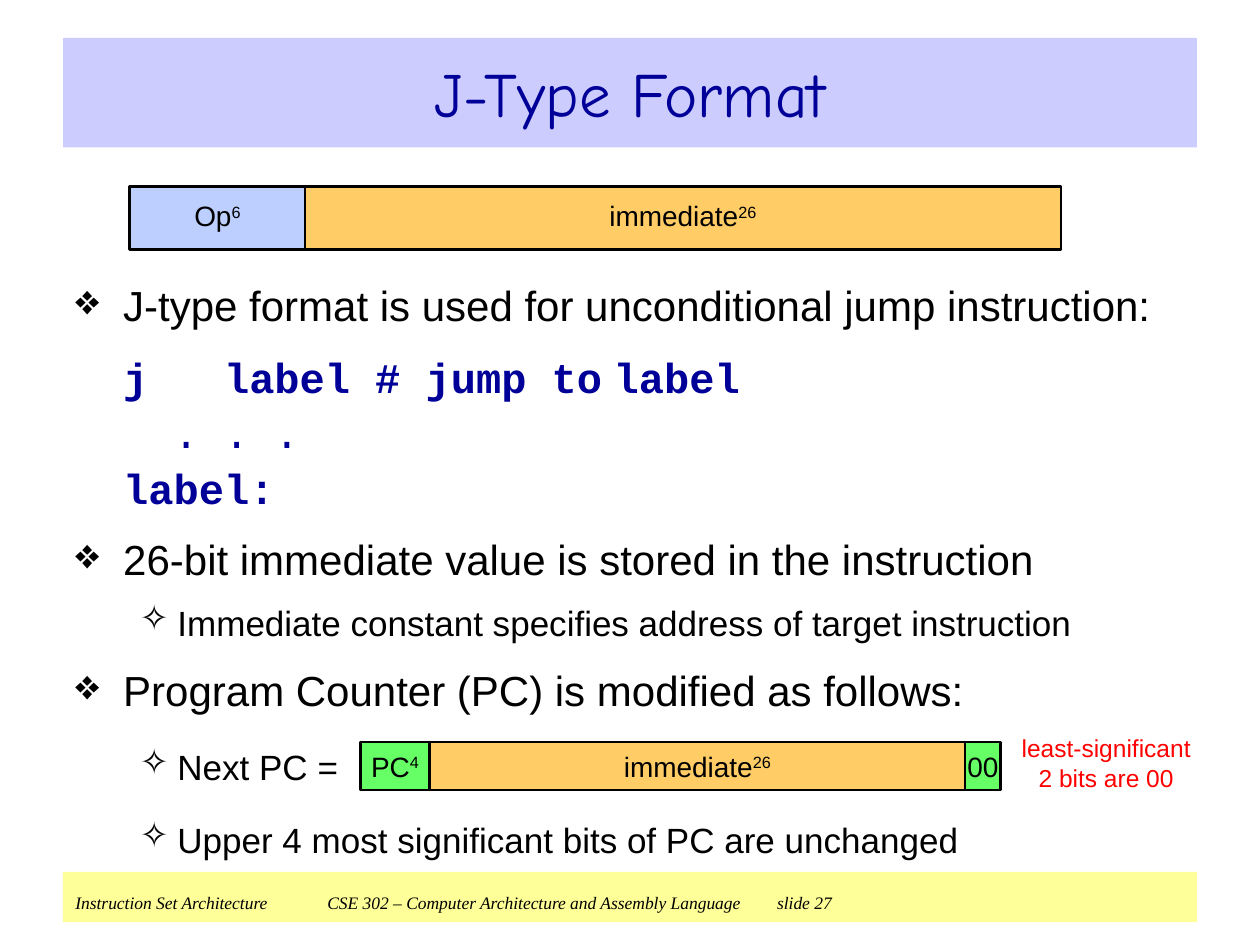
from lxml import etree
from pptx import Presentation
from pptx.dml.color import RGBColor
from pptx.enum.shapes import MSO_SHAPE
from pptx.enum.text import MSO_ANCHOR, PP_ALIGN
from pptx.oxml.ns import qn
from pptx.util import Inches, Pt

RECTANGLE = MSO_SHAPE.RECTANGLE
TOP, MIDDLE = MSO_ANCHOR.TOP, MSO_ANCHOR.MIDDLE
LEFT, CENTER = PP_ALIGN.LEFT, PP_ALIGN.CENTER

BLACK, NAVY, RED = "000000", "000099", "FF0000"
LAVENDER, YELLOW = "CCCCFF", "FFFF99"
BLUE, ORANGE, GREEN = "BCCFFE", "FFCC66", "66FF66"
CODE = {"font": "Courier New", "color": NAVY, "bold": True}
FOOTER = {"font": "Times New Roman", "size": 10, "italic": True}
TITLE_ONLY = 5


def rgb(color):
    """Turn a hex string into a colour."""
    return RGBColor.from_string(color)


def add_text(paragraph, text, size=24, font="Arial", color=BLACK, bold=False,
             italic=False, superscript=False):
    """Append one formatted run to a paragraph."""
    run = paragraph.add_run()
    run.text = text
    run.font.size = Pt(size)
    run.font.name = font
    run.font.color.rgb = rgb(color)
    run.font.bold = bold
    run.font.italic = italic
    if superscript:
        run.font._element.set("baseline", "30000")


def format_paragraph(paragraph, before=0, align=LEFT, margin=0, hanging=0,
                     bullet=None, tabs=()):
    """Set the spacing, indents, bullet and left tab stops of a paragraph."""
    paragraph.alignment = align
    paragraph.space_before = Pt(before)
    properties = paragraph._p.get_or_add_pPr()
    properties.set("marL", str(Inches(margin)))
    properties.set("indent", str(-Inches(hanging)))
    if bullet:
        bullet_color = etree.SubElement(properties, qn("a:buClr"))
        etree.SubElement(bullet_color, qn("a:srgbClr"), val=BLACK)
        etree.SubElement(properties, qn("a:buChar"), char=bullet)
    else:
        etree.SubElement(properties, qn("a:buNone"))
    if tabs:
        stops = etree.SubElement(properties, qn("a:tabLst"))
        for stop in tabs:
            etree.SubElement(stops, qn("a:tab"), pos=str(Inches(stop)), algn="l")


def add_box(slide, left, top, width, height, fill, line=None):
    """Add a filled rectangle, with an outline if a line colour is given."""
    box = slide.shapes.add_shape(RECTANGLE, Inches(left), Inches(top),
                                 Inches(width), Inches(height))
    box.shadow.inherit = False
    box.fill.solid()
    box.fill.fore_color.rgb = rgb(fill)
    if line:
        box.line.color.rgb = rgb(line)
        box.line.width = Pt(1.5)
    else:
        box.line.fill.background()
    return box


def add_text_area(slide, left, top, width, height):
    """Add a wrapping text box and return its text frame."""
    frame = slide.shapes.add_textbox(Inches(left), Inches(top),
                                     Inches(width), Inches(height)).text_frame
    frame.word_wrap = True
    return frame


def add_footer(slide):
    """Add the yellow footer bar."""
    frame = add_box(slide, 0.5, 6.92, 9, 0.4, YELLOW).text_frame
    frame.vertical_anchor = TOP
    paragraph = frame.paragraphs[0]
    format_paragraph(paragraph, before=6.2, tabs=(2, 6))
    add_text(paragraph, "Instruction Set Architecture\tCSE 302 – Computer "
             "Architecture and Assembly Language \t", **FOOTER)
    add_text(paragraph, " ", size=18)
    add_text(paragraph, "slide 27", **FOOTER)


def add_title(slide, text):
    """Fill and place the title placeholder."""
    title = slide.shapes.title
    title.left, title.top = Inches(0.5), Inches(0.3)
    title.width, title.height = Inches(9), Inches(0.87)
    title.fill.solid()
    title.fill.fore_color.rgb = rgb(LAVENDER)
    title.text_frame.vertical_anchor = MIDDLE
    paragraph = title.text_frame.paragraphs[0]
    paragraph.alignment = CENTER
    add_text(paragraph, text, size=36, font="Comic Neue", color=NAVY)


def add_bit_fields(slide, left, top, height, fields, line_spacing=1.0):
    """Add a row of adjoining fields, each with its name and bit count."""
    for name, bits, width, fill in fields:
        frame = add_box(slide, left, top, width, height, fill, BLACK).text_frame
        frame.margin_left = frame.margin_right = 0
        frame.margin_top = frame.margin_bottom = 0
        frame.vertical_anchor = MIDDLE
        paragraph = frame.paragraphs[0]
        paragraph.line_spacing = line_spacing
        format_paragraph(paragraph, align=CENTER)
        add_text(paragraph, name, size=16)
        if bits:
            add_text(paragraph, bits, size=16, superscript=True)
        left += width


def add_body(slide):
    """Add the bulleted points and the code sample."""
    point = {"before": 12, "margin": 0.38, "hanging": 0.38, "bullet": "❖"}
    detail = {"margin": 0.81, "hanging": 0.3, "bullet": "✧"}
    code = {"margin": 0.38, "hanging": 0.38, "tabs": (0, 2.75)}
    lines = [
        (point, [("J-type format is used for unconditional jump instruction:", {})]),
        ({**code, "before": 12}, [("\tj   label\t# jump to", CODE),
                                  (" ", {"color": NAVY, "bold": True}),
                                  ("label", CODE)]),
        ({**code, "before": 3}, [("\t  . . .", {**CODE, "bold": False})]),
        ({**code, "before": 3}, [("\tlabel:", CODE)]),
        (point, [("26-bit immediate value is stored in the instruction", {})]),
        ({**detail, "before": 10},
         [("Immediate constant specifies address of target instruction", {"size": 20})]),
        (point, [("Program Counter (PC) is modified as follows:", {})]),
        ({**detail, "before": 17.5}, [("Next PC =", {"size": 20})]),
        ({**detail, "before": 17.5},
         [("Upper 4 most significant bits of PC are unchanged", {"size": 20})]),
    ]
    frame = add_text_area(slide, 0.5, 2.17, 9, 4.72)
    for index, (layout, runs) in enumerate(lines):
        paragraph = frame.add_paragraph() if index else frame.paragraphs[0]
        format_paragraph(paragraph, **layout)
        for text, style in runs:
            add_text(paragraph, text, **style)


def add_bits_note(slide):
    """Add the red remark beside the next-PC row."""
    paragraph = add_text_area(slide, 7.96, 5.77, 1.64, 0.57).paragraphs[0]
    format_paragraph(paragraph, before=8.8, align=CENTER)
    add_text(paragraph, "least-significant 2 bits are 00", size=14, color=RED)


def main():
    """Build the slide and save it."""
    presentation = Presentation()
    presentation.slide_width, presentation.slide_height = Inches(10), Inches(7.5)
    slide = presentation.slides.add_slide(presentation.slide_layouts[TITLE_ONLY])
    add_footer(slide)
    add_title(slide, "J-Type Format")
    add_body(slide)
    add_bit_fields(slide, 1.03, 1.48, 0.5, [
        ("Op", "6", 1.39, BLUE),
        ("immediate", "26", 6, ORANGE),
    ], line_spacing=0.85)
    add_bit_fields(slide, 2.86, 5.89, 0.38, [
        ("PC", "4", 0.55, GREEN),
        ("immediate", "26", 4.25, ORANGE),
        ("00", None, 0.28, GREEN),
    ])
    add_bits_note(slide)
    presentation.save("out.pptx")


if __name__ == "__main__":
    main()
